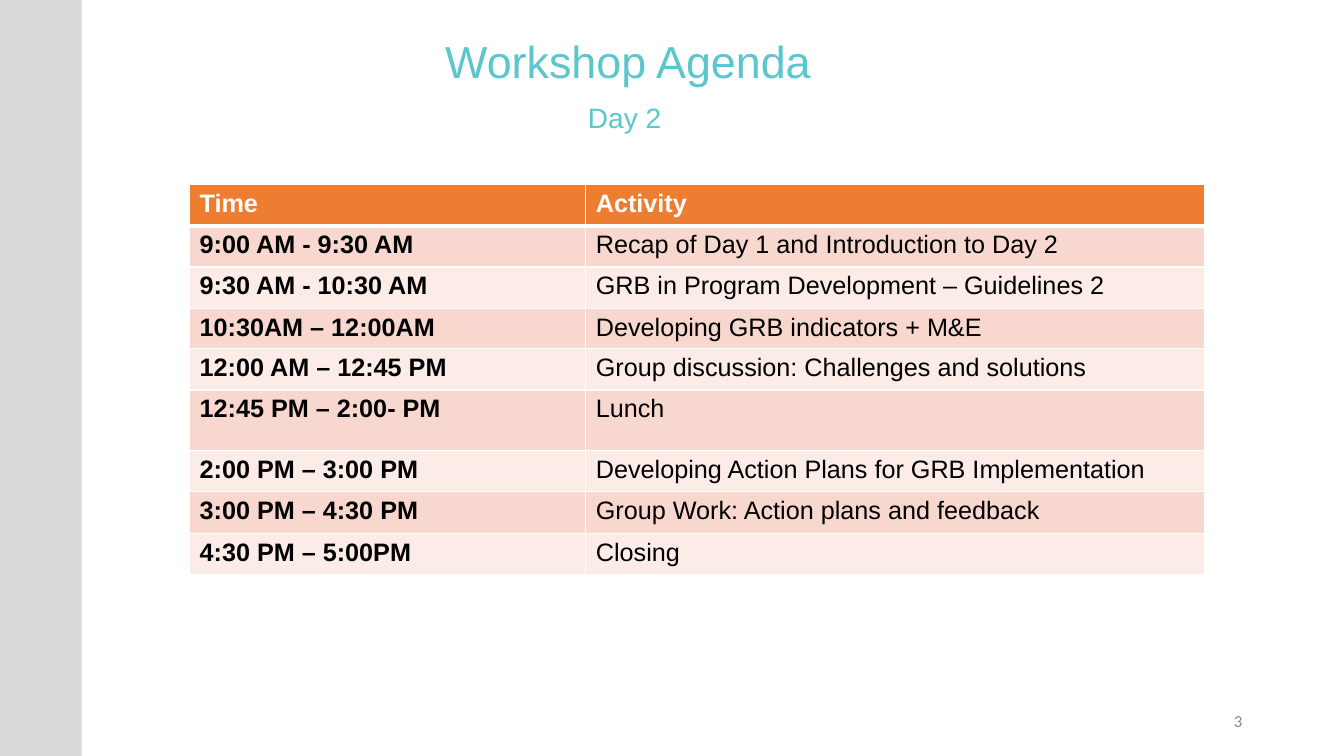
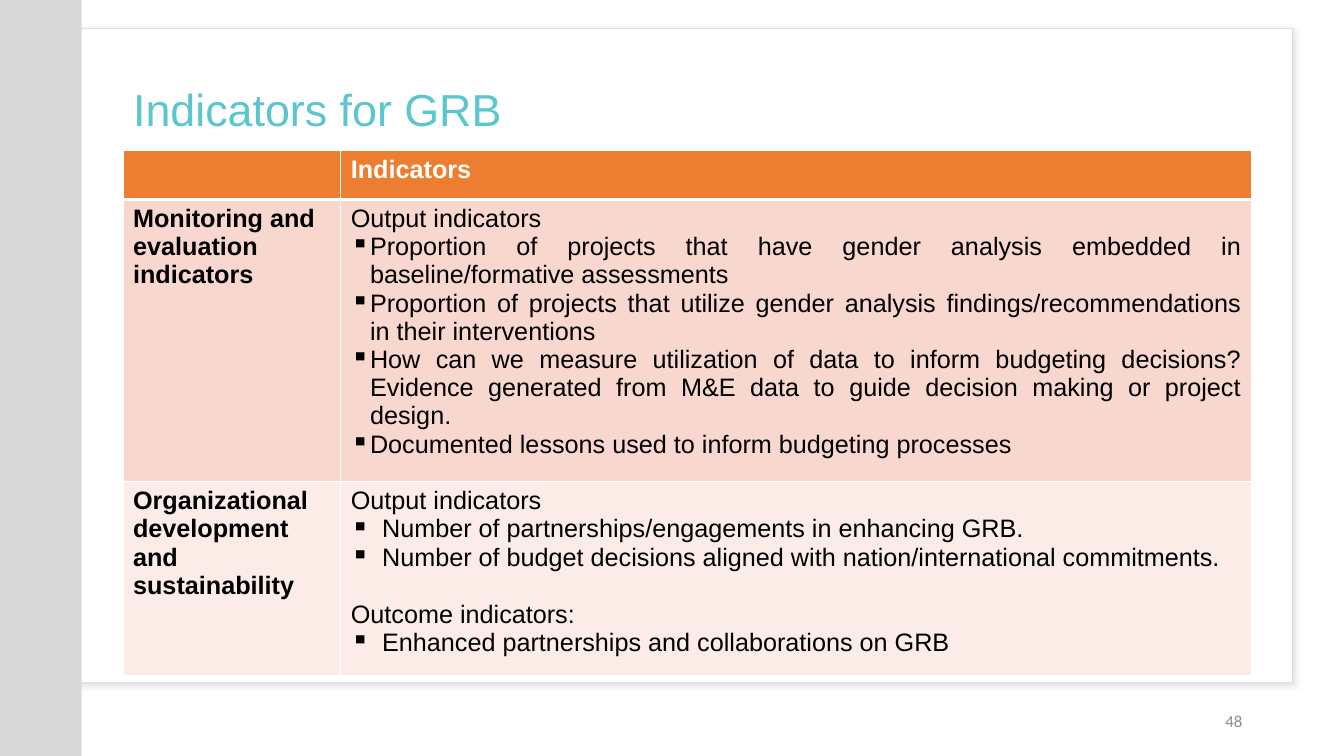
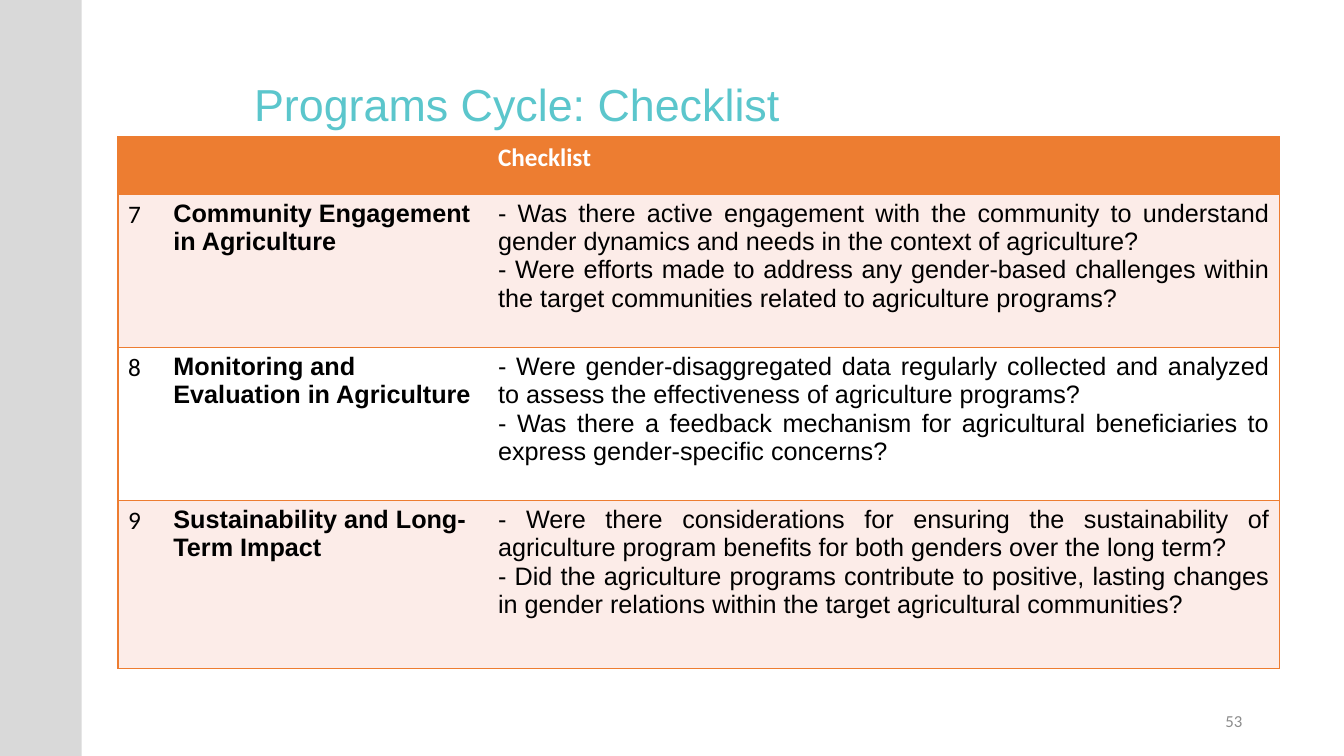
import pptx
import pptx.dml.color
import pptx.enum.shapes
import pptx.enum.text
import pptx.oxml
import pptx.oxml.ns
import pptx.util

Inches = pptx.util.Inches
Pt = pptx.util.Pt
Align = pptx.enum.text.PP_ALIGN
Anchor = pptx.enum.text.MSO_ANCHOR

COLORS = {
    "white": "FFFFFF",
    "black": "000000",
    "teal": "5BC6CC",
    "orange": "ED7D31",
    "peach": "F8D7CE",
    "blush": "FCECE8",
    "band": "D9D9D9",
    "card line": "DEDEDE",
    "card shadow": "C5C3C3",
    "page number": "8C8C8C",
}
PAGE_WIDTH, PAGE_HEIGHT = 13.33, 7.5
NAMESPACE = pptx.oxml.ns.nsdecls("a")

AGENDA = [
    ("Time", "Activity"),
    ("9:00 AM - 9:30 AM", "Recap of Day 1 and Introduction to Day 2"),
    ("9:30 AM - 10:30 AM", "GRB in Program Development – Guidelines 2"),
    ("10:30AM – 12:00AM", "Developing GRB indicators + M&E"),
    ("12:00 AM – 12:45 PM", "Group discussion: Challenges and solutions"),
    ("12:45 PM – 2:00- PM", "Lunch"),
    ("2:00 PM – 3:00 PM", "Developing Action Plans for GRB Implementation"),
    ("3:00 PM – 4:30 PM", "Group Work: Action plans and feedback"),
    ("4:30 PM – 5:00PM", "Closing"),
]

JUSTIFIED = {"align": Align.JUSTIFY}
JUSTIFIED_BULLET = {"align": Align.JUSTIFY, "bullet_indent": 0.19}
BULLET = {"bullet_indent": 0.31}
INDICATORS = [
    ("", "Indicators"),
    ("Monitoring and evaluation indicators", [
        ("Output indicators", JUSTIFIED),
        ("Proportion of projects that have gender analysis embedded in "
         "baseline/formative assessments", JUSTIFIED_BULLET),
        ("Proportion of projects that utilize gender analysis "
         "findings/recommendations in their interventions", JUSTIFIED_BULLET),
        ("How can we measure utilization of data to inform budgeting decisions? "
         "Evidence generated from M&E data to guide decision making or project "
         "design.", JUSTIFIED_BULLET),
        ("Documented lessons used to inform budgeting processes", JUSTIFIED_BULLET),
    ]),
    ("Organizational development and sustainability", [
        ("Output indicators", {}),
        ("Number of partnerships/engagements in enhancing GRB.", BULLET),
        ("Number of budget decisions aligned with nation/international "
         "commitments.", BULLET),
        ("Outcome indicators:", {"space_before": 20.5}),
        ("Enhanced partnerships and collaborations on GRB", BULLET),
    ]),
]

CHECKLIST = [
    ("", "", "Checklist"),
    ("7", "Community Engagement in Agriculture", [
        ("- Was there active engagement with the community to understand gender "
         "dynamics and needs in the context of agriculture?", JUSTIFIED),
        ("- Were efforts made to address any gender-based challenges within the "
         "target communities related to agriculture programs?", JUSTIFIED),
    ]),
    ("8", "Monitoring and Evaluation in Agriculture", [
        ("- Were gender-disaggregated data regularly collected and analyzed to "
         "assess the effectiveness of agriculture programs?", JUSTIFIED),
        ("- Was there a feedback mechanism for agricultural beneficiaries to "
         "express gender-specific concerns?", JUSTIFIED),
    ]),
    ("9", "Sustainability and Long-Term Impact", [
        ("- Were there considerations for ensuring the sustainability of "
         "agriculture program benefits for both genders over the long term?", JUSTIFIED),
        ("- Did the agriculture programs contribute to positive, lasting changes "
         "in gender relations within the target agricultural communities?", JUSTIFIED),
    ]),
]


def rgb(name):
    return pptx.dml.color.RGBColor.from_string(COLORS[name])


def write(frame, text, size=18, font="Arial", color="black", bold=False,
          align=Align.LEFT, line_spacing=None, space_before=0, bullet_indent=None):
    """Add one paragraph to the frame, using its empty first one if there is one."""
    para = frame.paragraphs[0]
    if para.runs:
        para = frame.add_paragraph()
    para.alignment = align
    if line_spacing:
        para.line_spacing = line_spacing
    if space_before:
        para.space_before = Pt(space_before)
    if bullet_indent:
        properties = para._p.get_or_add_pPr()
        properties.set("marL", str(Inches(bullet_indent)))
        properties.set("indent", str(-Inches(bullet_indent)))
        properties.append(pptx.oxml.parse_xml(f'<a:buChar {NAMESPACE} char="▪"/>'))
    span = para.add_run()
    span.text = text
    span.font.size = Pt(size)
    span.font.name = font
    span.font.bold = bold
    span.font.color.rgb = rgb(color)


def place(shape, left, top, width, height):
    shape.left, shape.top = Inches(left), Inches(top)
    shape.width, shape.height = Inches(width), Inches(height)


def add_text(page, at, text, **text_format):
    box = page.shapes.add_textbox(*map(Inches, at))
    box.text_frame.word_wrap = True
    box.text_frame.vertical_anchor = Anchor.MIDDLE
    write(box.text_frame, text, **text_format)


def add_rectangle(page, at, fill, line=None):
    shape = page.shapes.add_shape(
        pptx.enum.shapes.MSO_SHAPE.RECTANGLE, *map(Inches, at))
    shape.shadow.inherit = False
    shape.fill.solid()
    shape.fill.fore_color.rgb = rgb(fill)
    if line:
        shape.line.color.rgb = rgb(line)
        shape.line.width = Pt(1)
    else:
        shape.line.fill.background()
    return shape


def add_card(page, at):
    """Add a white panel with a soft shadow behind everything else on the page."""
    card = add_rectangle(page, at, "white", "card line")
    effects = card._element.spPr.find(pptx.oxml.ns.qn("a:effectLst"))
    effects.append(pptx.oxml.parse_xml(
        f'<a:outerShdw {NAMESPACE} blurRad="{Pt(4)}" dist="{Pt(3)}" dir="2700000">'
        f'<a:srgbClr val="{COLORS["card shadow"]}"><a:alpha val="50000"/></a:srgbClr>'
        '</a:outerShdw>'))
    page.shapes._spTree.insert(2, card._element)


def add_page(deck, title, title_at, number, align=Align.LEFT,
             anchor=Anchor.MIDDLE, line_spacing=0.9):
    """Add a page with the shared title style, side band and page number."""
    page = deck.slides.add_slide(deck.slide_layouts[5])
    heading = page.shapes.title
    place(heading, *title_at)
    frame = heading.text_frame
    frame.auto_size = pptx.enum.text.MSO_AUTO_SIZE.NONE
    frame.word_wrap = True
    frame.vertical_anchor = anchor
    write(frame, title, size=32, color="teal", align=align, line_spacing=line_spacing)
    add_rectangle(page, (0, 0, 0.81, PAGE_HEIGHT), "band")
    add_text(page, (9.42, 6.95, 3, 0.4), number, size=12, font="Calibri",
             color="page number", align=Align.RIGHT)
    return page


def set_borders(cell, color, widths):
    """Draw left, right, top and bottom borders; a width of 0 hides one."""
    properties = cell._tc.get_or_add_tcPr()
    for index, (side, width) in enumerate(zip("LRTB", widths)):
        paint = (f'<a:solidFill><a:srgbClr val="{COLORS[color]}"/></a:solidFill>'
                 if width else "<a:noFill/>")
        properties.insert(index, pptx.oxml.parse_xml(
            f'<a:ln{side} {NAMESPACE} w="{Pt(width)}">{paint}</a:ln{side}>'))


def add_table(page, left, top, widths, heights, rows, column_formats, fills,
              border="white", inner_vertical=1, header_rule=3, header_font="Arial"):
    """Add a table with an orange header and body rows that cycle through fills."""
    table = page.shapes.add_table(
        len(heights), len(widths), Inches(left), Inches(top),
        Inches(sum(widths)), Inches(sum(heights))).table
    table.horz_banding = False
    for column, width in zip(table.columns, widths):
        column.width = Inches(width)
    for r, (row, height) in enumerate(zip(rows, heights)):
        table.rows[r].height = Inches(height)
        for c, content in enumerate(row):
            cell = table.cell(r, c)
            cell.fill.solid()
            cell.fill.fore_color.rgb = rgb(
                fills[(r - 1) % len(fills)] if r else "orange")
            set_borders(cell, border, (
                inner_vertical if c else 1,
                inner_vertical if c < len(widths) - 1 else 1,
                header_rule if r == 1 else 1,
                header_rule if r == 0 else 1))
            base = column_formats[c] if r else {
                "color": "white", "bold": True, "font": header_font}
            lines = [(content, {})] if isinstance(content, str) else content
            for text, extra in lines:
                if text:
                    write(cell.text_frame, text, **base, **extra)


def add_agenda(deck):
    page = add_page(deck, "Workshop Agenda", (0.81, 0.32, 10.84, 0.63), "3",
                    align=Align.CENTER)
    add_text(page, (3.42, 0.96, 5.55, 0.46), "Day 2", size=20, color="teal",
             align=Align.CENTER, line_spacing=0.9)
    heights = [0.41] * len(AGENDA)
    heights[3], heights[5] = 0.38, 0.6
    add_table(page, 1.88, 1.83, [3.93, 6.14], heights, AGENDA,
              [{"bold": True}, {}], ["peach", "blush"])


def add_indicators(deck):
    page = add_page(deck, "Indicators for GRB", (1.22, 0.56, 11.19, 1.11), "48")
    add_card(page, (0.61, 0.28, 12.21, 6.49))
    add_table(page, 1.22, 1.49, [2.16, 9.03], [0.49, 2.6, 1.92], INDICATORS,
              [{"bold": True}, {}], ["peach", "blush"])


def add_checklist(deck):
    page = add_page(deck, "Programs Cycle: Checklist", (2.42, 0.71, 6.67, 0.64),
                    "53", anchor=Anchor.TOP, line_spacing=1)
    add_table(page, 1.17, 1.36, [0.45, 3.22, 7.85], [0.57, 1.52, 1.52, 1.66],
              CHECKLIST, [{"font": "Calibri"}, {"bold": True}, {}],
              ["blush", "white"], border="orange", inner_vertical=0,
              header_rule=1, header_font="Calibri")


def main():
    deck = pptx.Presentation()
    deck.slide_width = Inches(PAGE_WIDTH)
    deck.slide_height = Inches(PAGE_HEIGHT)
    add_agenda(deck)
    add_indicators(deck)
    add_checklist(deck)
    deck.save("out.pptx")


if __name__ == "__main__":
    main()
